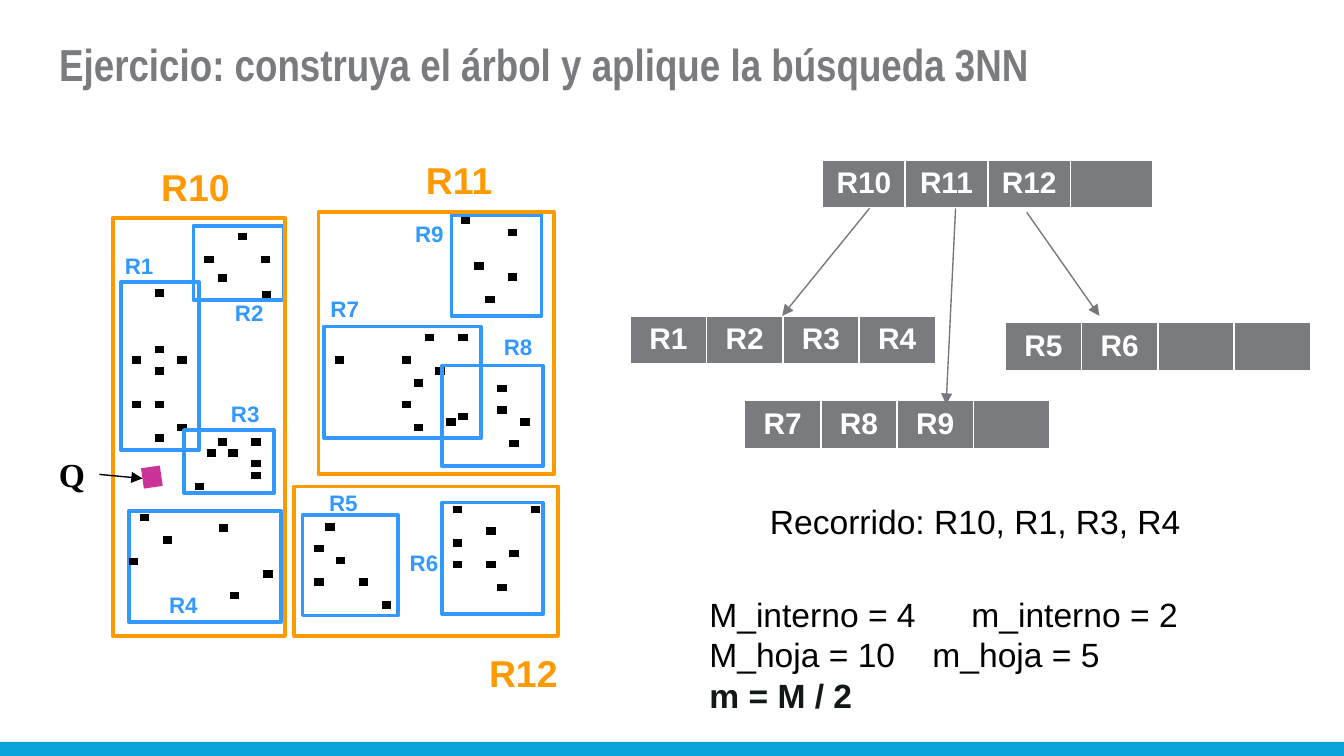
from dataclasses import dataclass

from lxml import etree
from pptx import Presentation
from pptx.dml.color import RGBColor
from pptx.enum import shapes as kinds, text as txt
from pptx.oxml.ns import qn
from pptx.util import Inches, Pt


@dataclass(frozen=True)
class Theme:
    blue: str = "3399FF"
    orange: str = "FF9900"
    gray: str = "797B7E"
    arrow: str = "76787B"
    pink: str = "CC3399"
    bar: str = "08A1D9"
    black: str = "000000"
    dark: str = "121718"
    white: str = "FFFFFF"
    font: str = "Arial"
    narrow: str = "Arial Narrow"
    serif: str = "Times New Roman"
    title: int = 24
    group: int = 20
    body: int = 18
    cell: int = 16
    label: int = 12


T = Theme()
DOT = 0.07

# name: (box, label corner, left ends of the dots)
LEAVES = {
    "R5": ((2.25, 3.83, 0.71, 0.75), (2.35, 3.59),
           [(2.34, 4.33), (2.5, 4.17), (2.67, 4.33), (2.84, 4.5),
            (2.34, 4.08), (2.42, 3.92)]),
    "R9": ((3.36, 1.6, 0.67, 0.75), (2.99, 1.59),
           [(3.61, 2.23), (3.53, 1.98), (3.78, 1.73), (3.43, 1.64),
            (3.78, 2.06)]),
    "R1": ((0.9, 2.1, 0.58, 1.25), (0.83, 1.83),
           [(1.15, 2.6), (0.98, 3.01), (1.15, 3.26), (1.15, 3.01),
            (0.98, 2.68), (1.32, 2.68), (1.15, 2.76), (1.32, 3.18),
            (1.15, 2.18)]),
    "R7": ((2.41, 2.43, 1.17, 0.83), (2.36, 2.15),
           [(3.16, 2.51), (3.41, 2.51), (3.24, 2.76), (3.08, 3.18),
            (2.99, 3.01), (3.08, 2.85), (2.99, 2.68), (3.41, 3.1),
            (2.49, 2.68)]),
    "R3": ((1.37, 3.2, 0.67, 0.47), (1.62, 2.93),
           [(1.87, 3.45), (1.7, 3.37), (1.62, 3.29), (1.87, 3.29),
            (1.54, 3.37), (1.87, 3.54), (1.45, 3.62)]),
    "R6": ((3.29, 3.74, 0.75, 0.83), (2.95, 4.04),
           [(3.62, 4.2), (3.79, 4.12), (3.7, 4.37), (3.37, 4.2),
            (3.37, 4.04), (3.37, 3.79), (3.95, 3.79), (3.62, 3.95)]),
    "R8": ((3.29, 2.72, 0.75, 0.75), (3.65, 2.43),
           [(3.7, 3.05), (3.79, 3.3), (3.7, 2.89), (3.32, 3.14),
            (3.87, 3.14)]),
    "R4": ((0.96, 3.8, 1.13, 0.83), (1.16, 4.35),
           [(0.96, 4.18), (1.04, 3.85), (1.21, 4.02), (1.63, 3.93),
            (1.71, 4.43), (1.96, 4.27)]),
    "R2": ((1.44, 1.68, 0.67, 0.55), (1.65, 2.18),
           [(1.52, 1.93), (1.94, 1.93), (1.62, 2.07), (1.77, 1.76),
            (1.95, 2.19)]),
}
# name: (box, label corner)
ROOTS = {
    "R11": ((2.37, 1.58, 1.75, 1.95), (3.07, 1.12)),
    "R10": ((0.84, 1.62, 1.28, 3.11), (1.1, 1.17)),
    "R12": ((2.19, 3.62, 1.96, 1.11), (3.54, 4.79)),
}
# (left, top, width, entries)
NODES = [
    (6.12, 1.19, 2.46, ["R10", "R11", "R12", ""]),
    (4.69, 2.35, 2.27, ["R1", "R2", "R3", "R4"]),
    (5.54, 2.98, 2.27, ["R7", "R8", "R9", ""]),
    (7.48, 2.4, 2.27, ["R5", "R6", "", ""]),
]
LINKS = [
    ((6.47, 1.55), (5.82, 2.35)),
    ((7.11, 1.55), (7.04, 3.01)),
    ((7.64, 1.58), (8.18, 2.35)),
]


def inches(*nums):
    return [Inches(n) for n in nums]


def write(frame, text, size=T.body, color=T.black, bold=False, font=T.font,
          align=txt.PP_ALIGN.LEFT, tab=None):
    """Add one paragraph, with an optional tab stop in inches."""
    par = frame.add_paragraph() if frame.text else frame.paragraphs[0]
    par.alignment = align
    if tab:
        stops = etree.SubElement(par._p.get_or_add_pPr(), qn("a:tabLst"))
        etree.SubElement(stops, qn("a:tab"), pos=str(Inches(tab)), algn="l")
    if not text:
        etree.SubElement(par._p, qn("a:endParaRPr"), sz=str(size * 100))
        return
    run = par.add_run()
    run.text = text
    run.font.size, run.font.bold, run.font.name = Pt(size), bold, font
    run.font.color.rgb = RGBColor.from_string(color)


def add_text(tree, spot, wrap=False):
    frame = tree.add_textbox(*inches(*spot)).text_frame
    frame.word_wrap = wrap
    return frame


def add_rect(tree, spot, line=None, fill=None):
    rect = tree.add_shape(kinds.MSO_SHAPE.RECTANGLE, *inches(*spot))
    rect.shadow.inherit = False
    if fill:
        rect.fill.solid()
        rect.fill.fore_color.rgb = RGBColor.from_string(fill)
    else:
        rect.fill.background()
    if line:
        rect.line.color.rgb = RGBColor.from_string(line)
        rect.line.width = Pt(2)
    else:
        rect.line.fill.background()


def add_line(tree, start, end, color=T.black, width=0.75, head=False):
    line = tree.add_connector(kinds.MSO_CONNECTOR.STRAIGHT,
                              *inches(*start, *end))
    line.line.color.rgb = RGBColor.from_string(color)
    line.line.width = Pt(width)
    if head:
        etree.SubElement(line.line._ln, qn("a:tailEnd"), type="triangle")
    etree.SubElement(line._element.spPr, qn("a:effectLst"))


def add_leaf(tree, box, dots):
    group = tree.add_group_shape().shapes
    add_rect(group, box, T.blue)
    for x, y in dots:
        add_line(group, (x, y), (x + DOT, y), width=4)


def add_edges(cell):
    for side, width in zip("LRTB", (1, 1, 1, 3)):
        edge = etree.SubElement(cell._tc.get_or_add_tcPr(),
                                qn("a:ln" + side), w=str(Pt(width)))
        fill = etree.SubElement(edge, qn("a:solidFill"))
        etree.SubElement(fill, qn("a:srgbClr"), val=T.white)


def add_node(tree, left, top, width, names):
    """Draw a tree node as a table of one row with equal columns."""
    spot = inches(left, top, width, 0.37)
    table = tree.add_table(1, len(names), *spot).table
    for col, name in enumerate(names):
        table.columns[col].width = Inches(width / len(names))
        cell = table.cell(0, col)
        add_edges(cell)
        cell.fill.solid()
        cell.fill.fore_color.rgb = RGBColor.from_string(T.gray)
        write(cell.text_frame, name, T.cell, T.white, True,
              align=txt.PP_ALIGN.CENTER)


def add_title(slide, text):
    title = slide.shapes.title
    title.left, title.top, title.width, title.height = inches(
        0.34, 0.17, 9.32, 0.69)
    frame = title.text_frame
    frame.auto_size = txt.MSO_AUTO_SIZE.NONE
    frame.vertical_anchor = txt.MSO_ANCHOR.TOP
    frame.margin_top = frame.margin_bottom = Inches(0.1)
    write(frame, text, T.title, T.gray, True, T.narrow)


def main():
    deck = Presentation()
    deck.slide_width = Inches(10)
    deck.slide_height = deck.slide_width * 9 // 16
    slide = deck.slides.add_slide(deck.slide_layouts[5])
    tree = slide.shapes

    add_rect(tree, (0, 5.52, 10, 0.11), fill=T.bar)
    add_title(slide, "Ejercicio: construya el árbol y aplique la búsqueda 3NN")

    for box, _, dots in LEAVES.values():
        add_leaf(tree, box, dots)
    for name, (box, spot) in ROOTS.items():
        add_rect(tree, box, T.orange)
        write(add_text(tree, (*spot, 0.71, 0.43)), name, T.group, T.orange, True)
    for name, (_, spot, _) in LEAVES.items():
        write(add_text(tree, (*spot, 0.41, 0.3)), name, T.label, T.blue, True)

    add_line(tree, (1.06, 3.56), (1.2, 3.54), T.pink, 11)
    write(add_text(tree, (0.34, 3.33, 0.39, 0.4)), "Q", bold=True, font=T.serif)
    add_line(tree, (0.74, 3.53), (1.06, 3.56), head=True)

    for node in NODES:
        add_node(tree, *node)
    for start, end in LINKS:
        add_line(tree, start, end, T.arrow, head=True)

    notes = add_text(tree, (5.18, 4.37, 3.72, 1.01), wrap=True)
    write(notes, "M_interno = 4\tm_interno = 2", tab=1.95)
    write(notes, "M_hoja = 10\tm_hoja = 5", tab=1.66)
    write(notes, "m = M / 2", color=T.dark, bold=True)
    write(add_text(tree, (5.63, 3.68, 3.29, 0.4), wrap=True),
          "Recorrido: R10, R1, R3, R4")

    deck.save("out.pptx")


if __name__ == "__main__":
    main()
